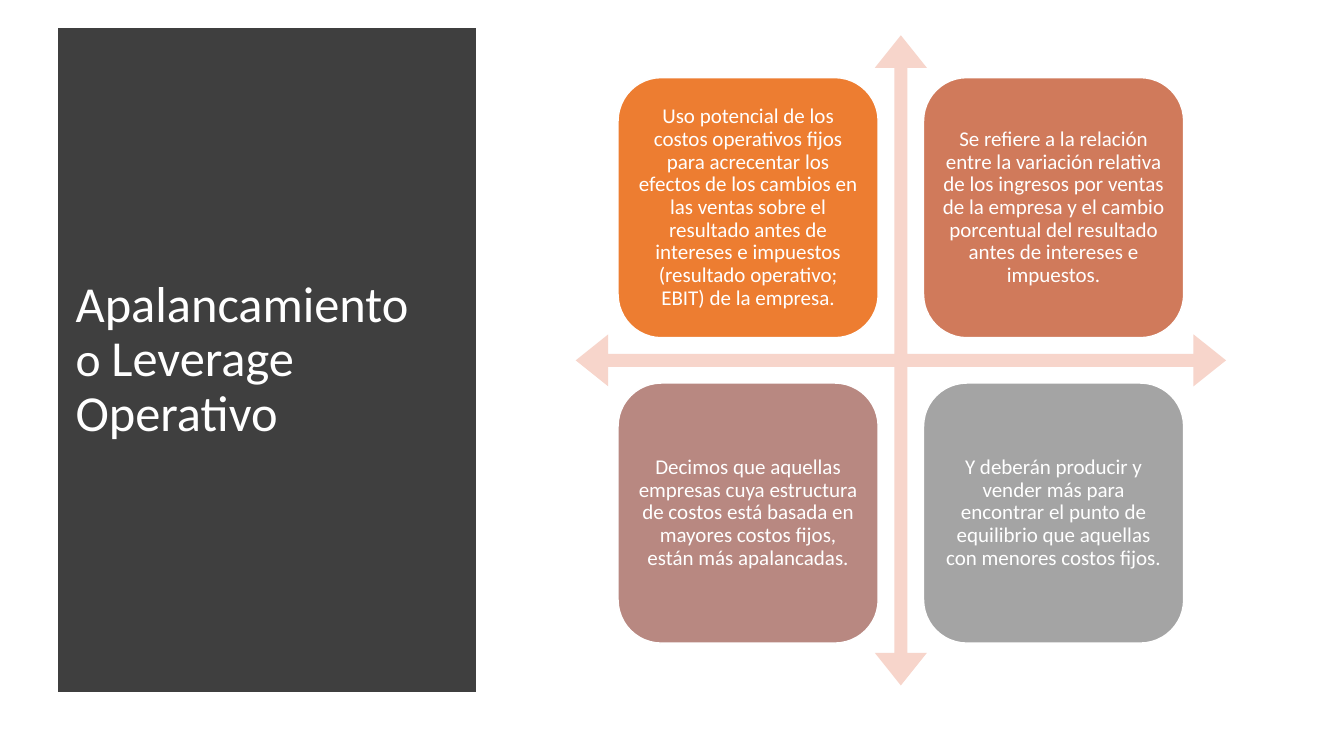
from dataclasses import dataclass

from lxml.etree import SubElement
from pptx import Presentation
from pptx.dml.color import RGBColor
from pptx.enum.shapes import MSO_SHAPE as Shape
from pptx.enum.text import MSO_ANCHOR as Anchor, MSO_AUTO_SIZE as AutoSize, PP_ALIGN as Align
from pptx.oxml.ns import qn
from pptx.util import Emu, Pt

TITLE = [("Apalancamiento", "title"), (" o ", "title_link"), ("Leverage", "title"),
         (" ", "title_link"), ("Operativo", "title")]
# Read row by row
QUADRANTS = [
    ("Uso potencial de los costos operativos fijos para acrecentar los efectos de los cambios "
     "en las ventas sobre el resultado antes de intereses e impuestos (resultado operativo; "
     "EBIT) de la empresa.", "ED7D31"),
    ("Se refiere a la relación entre la variación relativa de los ingresos por ventas de la "
     "empresa y el cambio porcentual del resultado antes de intereses e impuestos.", "D07A5B"),
    ("Decimos que aquellas empresas cuya estructura de costos está basada en mayores costos "
     "fijos, están más apalancadas.", "B88881"),
    ("Y deberán producir y vender más para encontrar el punto de equilibrio que aquellas con "
     "menores costos fijos.", "A4A4A4"),
]


@dataclass(frozen=True)
class Theme:
    font: str = "Calibri"
    text: str = "FFFFFF"
    panel: str = "3F3F3F"
    arrows: str = "F7D5CB"
    title: int = 36
    title_link: int = 34
    body: int = 15


THEME = Theme()
PX = 9144  # 100 px to the inch
SLIDE_SIZE = (1333, 750)
PANEL = (65, 35, 400, 645)
TITLE_BOX = (65, 70, 372, 575)
MATRIX = (571, 35, 645, 645)
CARD, CARD_INSET, CARD_STEP = 258, 42, 303


def px(length):
    return Emu(length * PX)


def set_format(target, values):
    for name, value in values.items():
        setattr(target, name, value)


def place(shape, box):
    set_format(shape, dict(zip(("left", "top", "width", "height"), map(px, box))))


def add_block(slide, kind, box, fill, line=None, line_width=0, adjustments=()):
    shape = slide.shapes.add_shape(kind, *map(px, box))
    shape.shadow.inherit = False
    shape.fill.solid()
    shape.fill.fore_color.rgb = RGBColor.from_string(fill)
    if line:
        shape.line.color.rgb = RGBColor.from_string(line)
        shape.line.width = Pt(line_width)
    else:
        shape.line.fill.background()
    for index, value in enumerate(adjustments):
        shape.adjustments[index] = value
    return shape


def write(shape, runs, align, margins):
    """Fill a shape with one centred-in-height paragraph of (text, size) runs."""
    frame = shape.text_frame
    side, end = map(px, margins)
    set_format(frame, {"word_wrap": True, "auto_size": AutoSize.NONE,
                       "vertical_anchor": Anchor.MIDDLE,
                       "margin_left": side, "margin_right": side,
                       "margin_top": end, "margin_bottom": end})
    paragraph = frame.paragraphs[0]
    set_format(paragraph, {"alignment": align, "line_spacing": 0.9, "space_before": Pt(0)})
    for text, size in runs:
        run = paragraph.add_run()
        run.text = text
        set_format(run.font, {"name": THEME.font, "size": Pt(getattr(THEME, size))})
        run.font.color.rgb = RGBColor.from_string(THEME.text)


def add_title_panel(slide):
    title = slide.shapes.title
    place(title, TITLE_BOX)
    write(title, TITLE, Align.LEFT, (10, 5))
    panel = add_block(slide, Shape.RECTANGLE, PANEL, THEME.panel, THEME.panel, 10)
    SubElement(panel.line.fill._xPr, qn("a:miter"), lim="800000")
    title.element.addprevious(panel.element)


def add_matrix(slide):
    add_block(slide, Shape.QUAD_ARROW, MATRIX, THEME.arrows, adjustments=(0.02, 0.04, 0.05))
    left, top = MATRIX[:2]
    for index, (text, fill) in enumerate(QUADRANTS):
        row, column = divmod(index, 2)
        box = (left + CARD_INSET + column * CARD_STEP, top + CARD_INSET + row * CARD_STEP,
               CARD, CARD)
        card = add_block(slide, Shape.ROUNDED_RECTANGLE, box, fill, THEME.text, 1, (0.1667,))
        write(card, [(text, "body")], Align.CENTER, (6, 6))


def main():
    presentation = Presentation()
    presentation.slide_width, presentation.slide_height = map(px, SLIDE_SIZE)
    slide = presentation.slides.add_slide(presentation.slide_layouts[5])
    add_title_panel(slide)
    add_matrix(slide)
    presentation.save("out.pptx")


if __name__ == "__main__":
    main()
